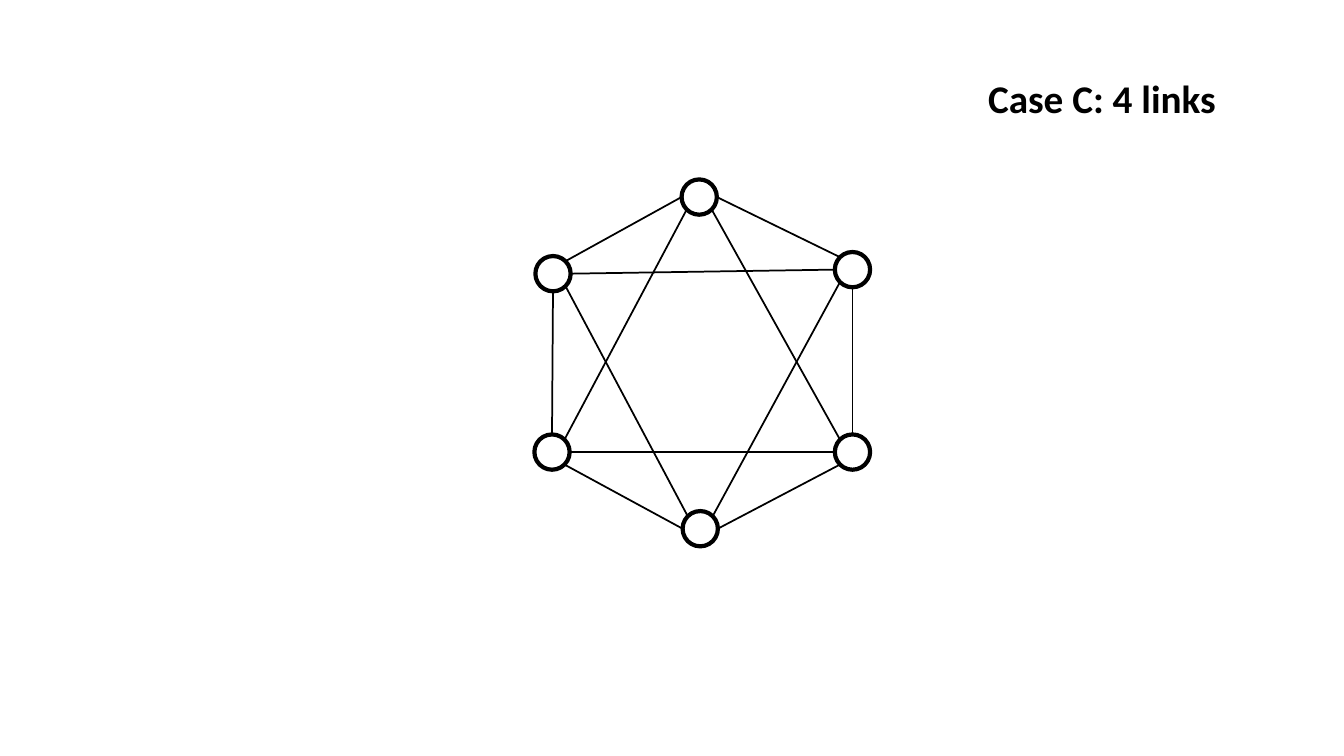
import math

import pptx
import pptx.dml.color
import pptx.enum.shapes
import pptx.enum.text
import pptx.oxml.ns
import pptx.util
from lxml import etree
from pptx.util import Inches

THEME = {
    "ink": pptx.dml.color.RGBColor(0, 0, 0),
    "paper": pptx.dml.color.RGBColor(255, 255, 255),
    "font": "Calibri",
    "title_size": pptx.util.Pt(28),
    "node_line": pptx.util.Pt(3),
    "link_line": pptx.util.Pt(1.25),
}
DIAMETER = 0.35
NODES = {
    "bottom": (6.77, 5.07),
    "top": (6.76, 1.78),
    "upper right": (8.28, 2.5),
    "lower right": (8.28, 4.31),
    "upper left": (5.31, 2.54),
    "lower left": (5.3, 4.31),
}
ANGLES = {"E": 0, "SE": 45, "S": 90, "SW": 135, "W": 180, "NW": 225, "N": 270, "NE": 315}
LINKS = [
    ("top", "E", "upper right", "NW"),
    ("lower right", "N", "upper right", "S"),
    ("bottom", "E", "lower right", "SW"),
    ("bottom", "W", "lower left", "SE"),
    ("lower left", "N", "upper left", "S"),
    ("upper left", "NE", "top", "W"),
    ("top", "SW", "lower left", "NE"),
    ("upper left", "SE", "bottom", "NW"),
    ("lower left", "E", "lower right", "W"),
    ("top", "SE", "lower right", "NW"),
    ("upper right", "W", "upper left", "E"),
    ("upper right", "SW", "bottom", "NE"),
]


def rim_point(node, side):
    left, top = NODES[node]
    radius = DIAMETER / 2
    angle = math.radians(ANGLES[side])
    x = left + radius + radius * math.cos(angle)
    y = top + radius + radius * math.sin(angle)
    return Inches(x), Inches(y)


def set_line(sp, width):
    sp.line.color.rgb = THEME["ink"]
    sp.line.width = width


prs = pptx.Presentation()
prs.slide_width = Inches(13.33)
prs.slide_height = Inches(7.5)
s = prs.slides.add_slide(prs.slide_layouts[5])

title = s.shapes.title
box = {"left": 9.7, "top": 0.69, "width": 2.49, "height": 0.57}
for name, value in box.items():
    setattr(title, name, Inches(value))
tf = title.text_frame
tf.text = "Case C: 4 links"
frame_format = {
    "word_wrap": False,
    "auto_size": pptx.enum.text.MSO_AUTO_SIZE.SHAPE_TO_FIT_TEXT,
    "vertical_anchor": pptx.enum.text.MSO_ANCHOR.TOP,
}
for name, value in frame_format.items():
    setattr(tf, name, value)
p = tf.paragraphs[0]
p.alignment = pptx.enum.text.PP_ALIGN.LEFT
r = p.runs[0]
font_format = {"name": THEME["font"], "size": THEME["title_size"], "bold": True}
for name, value in font_format.items():
    setattr(r.font, name, value)
r.font.color.rgb = THEME["ink"]

for left, top in NODES.values():
    sp = s.shapes.add_shape(
        pptx.enum.shapes.MSO_SHAPE.OVAL,
        Inches(left), Inches(top), Inches(DIAMETER), Inches(DIAMETER),
    )
    sp.shadow.inherit = False
    sp.fill.solid()
    sp.fill.fore_color.rgb = THEME["paper"]
    set_line(sp, THEME["node_line"])

for start, start_side, end, end_side in LINKS:
    link = s.shapes.add_connector(
        pptx.enum.shapes.MSO_CONNECTOR.STRAIGHT,
        *rim_point(start, start_side), *rim_point(end, end_side),
    )
    set_line(link, THEME["link_line"])
    etree.SubElement(link._element.spPr, pptx.oxml.ns.qn("a:effectLst"))

prs.save("out.pptx")
